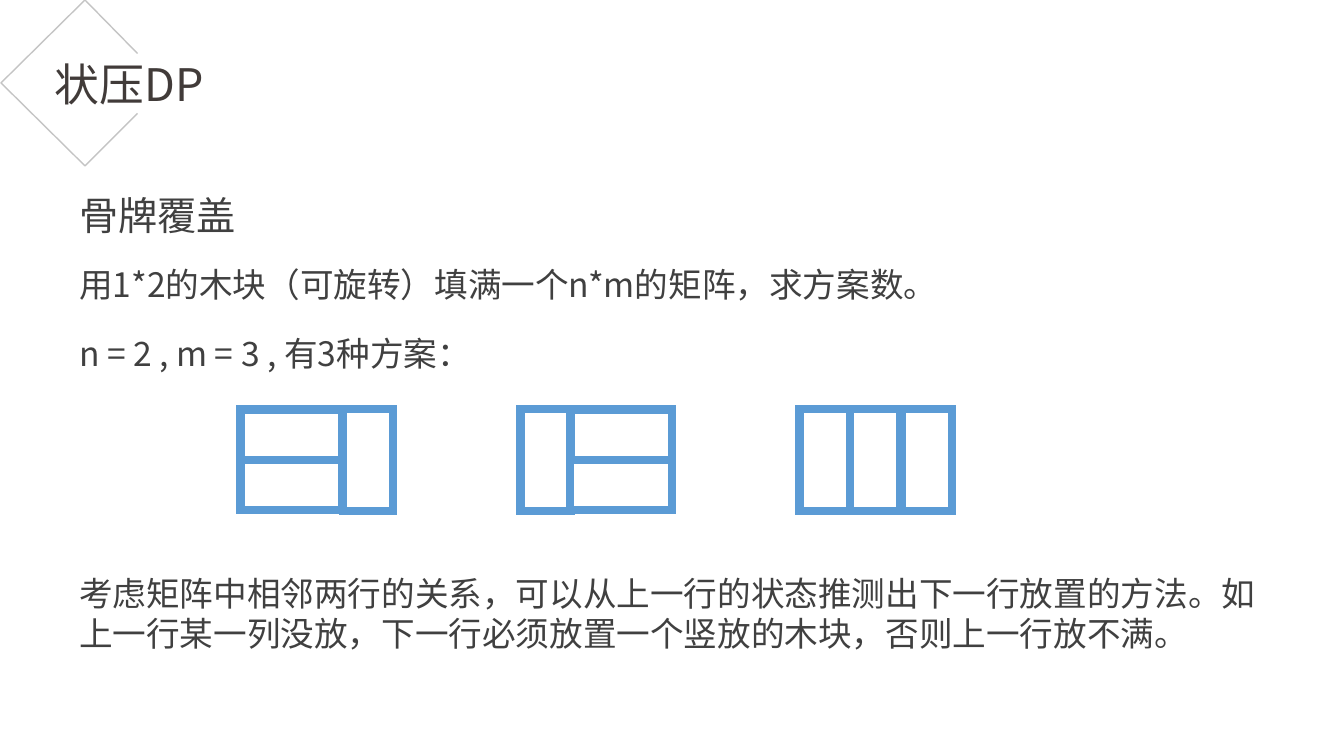
from lxml.etree import SubElement
from pptx import Presentation
from pptx.dml.color import RGBColor
from pptx.enum.lang import MSO_LANGUAGE_ID
from pptx.enum.shapes import MSO_SHAPE
from pptx.enum.text import MSO_AUTO_SIZE, PP_ALIGN
from pptx.oxml.ns import qn
from pptx.util import Pt

TITLE = RGBColor(0x41, 0x3B, 0x39)
BODY = RGBColor(0x40, 0x40, 0x40)
GRAY = RGBColor(0x80, 0x80, 0x80)
BLUE = RGBColor(0x5B, 0x9B, 0xD5)
WHITE = RGBColor(0xFF, 0xFF, 0xFF)

FONT = "Noto Sans CJK SC"
PX = 9525
DOMINO_LENGTH, DOMINO_WIDTH = 97, 48


class Deck:
    def __init__(self, width, height):
        self.prs = Presentation()
        self.prs.slide_width = width * PX
        self.prs.slide_height = height * PX
        self.s = self.prs.slides.add_slide(self.prs.slide_layouts[6])

    def text(self, x, y, w, h, text, size=24, color=BODY,
             align=PP_ALIGN.LEFT, wrap=True):
        sp = self.s.shapes.add_textbox(x * PX, y * PX, w * PX, h * PX)
        tf = sp.text_frame
        tf.word_wrap = wrap
        tf.auto_size = MSO_AUTO_SIZE.SHAPE_TO_FIT_TEXT
        tf.text = text
        p = tf.paragraphs[0]
        p.alignment = align
        r = p.runs[0]
        r.font.name = FONT
        r.font.size = Pt(size)
        r.font.color.rgb = color
        r.font.language_id = MSO_LANGUAGE_ID.SIMPLIFIED_CHINESE
        SubElement(r.font._element, qn("a:ea"), typeface=FONT)

    def outline(self, points, color, opacity):
        builder = self.s.shapes.build_freeform(*points[0], scale=PX)
        builder.add_line_segments(points[1:], close=False)
        sp = builder.convert_to_shape()
        sp.shadow.inherit = False
        sp.fill.background()
        sp.line.color.rgb = color
        sp.line.width = Pt(1)
        clr = sp.line._ln.find(".//" + qn("a:srgbClr"))
        SubElement(clr, qn("a:alpha"), val=str(opacity * 1000))

    def domino(self, group, x, y, upright):
        if upright:
            shift = DOMINO_WIDTH // 2
            x, y = x - shift, y + shift
        sp = group.shapes.add_shape(MSO_SHAPE.RECTANGLE, x * PX, y * PX,
                                    DOMINO_LENGTH * PX, DOMINO_WIDTH * PX)
        sp.rotation = 90 if upright else 0
        sp.shadow.inherit = False
        sp.fill.solid()
        sp.fill.fore_color.rgb = WHITE
        sp.line.color.rgb = BLUE
        sp.line.width = Pt(6)
        SubElement(sp.line._ln, qn("a:miter"), lim="800000")

    def tiling(self, x, y, dominoes):
        group = self.s.shapes.add_group_shape()
        for col, row, upright in dominoes:
            self.domino(group, x + col * DOMINO_LENGTH // 2,
                        y + row * DOMINO_LENGTH // 2, upright)


def main():
    deck = Deck(1280, 720)
    deck.text(36, 49, 174, 61, "状压DP", 32, TITLE, PP_ALIGN.CENTER)
    deck.outline([(131, 51), (81, 0), (1, 79), (81, 158), (131, 108)], GRAY, 45)
    deck.text(66, 177, 170, 55, "骨牌覆盖", 28, wrap=False)
    deck.text(66, 247, 1139, 48, "用1*2的木块（可旋转）填满一个n*m的矩阵，求方案数。")
    deck.text(66, 312, 1139, 48, "n = 2 , m = 3 , 有3种方案：")

    tilings = [
        [(2, 0, True), (0, 0, False), (0, 1, False)],
        [(1, 0, False), (0, 0, True), (1, 1, False)],
        [(col, 0, True) for col in range(3)],
    ]
    for i, dominoes in enumerate(tilings):
        deck.tiling(229 + i * 266, 390, dominoes)

    deck.text(66, 541, 1139, 87,
              "考虑矩阵中相邻两行的关系，可以从上一行的状态推测出下一行放置的方法。"
              "如上一行某一列没放，下一行必须放置一个竖放的木块，否则上一行放不满。")
    deck.prs.save("out.pptx")


if __name__ == "__main__":
    main()
